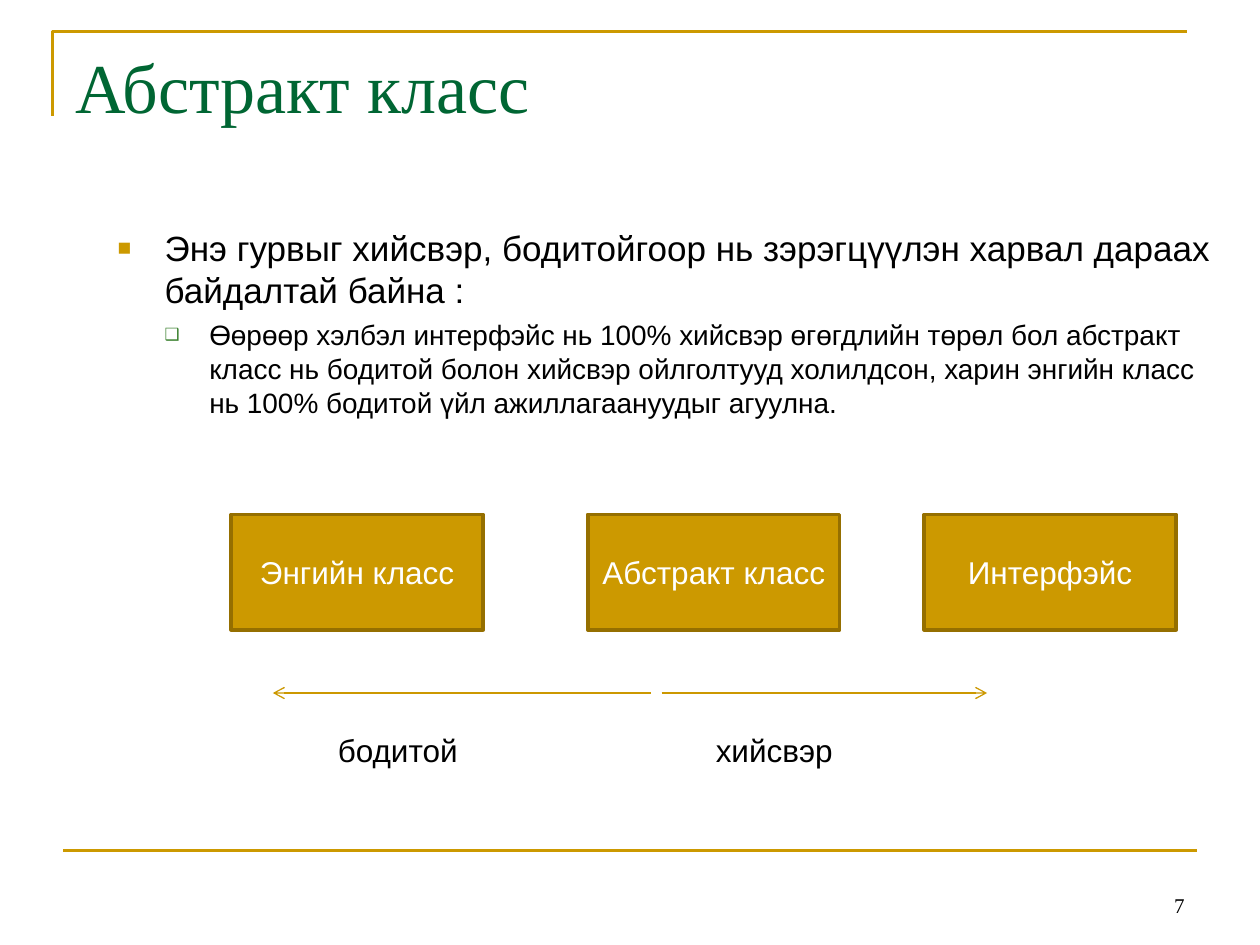
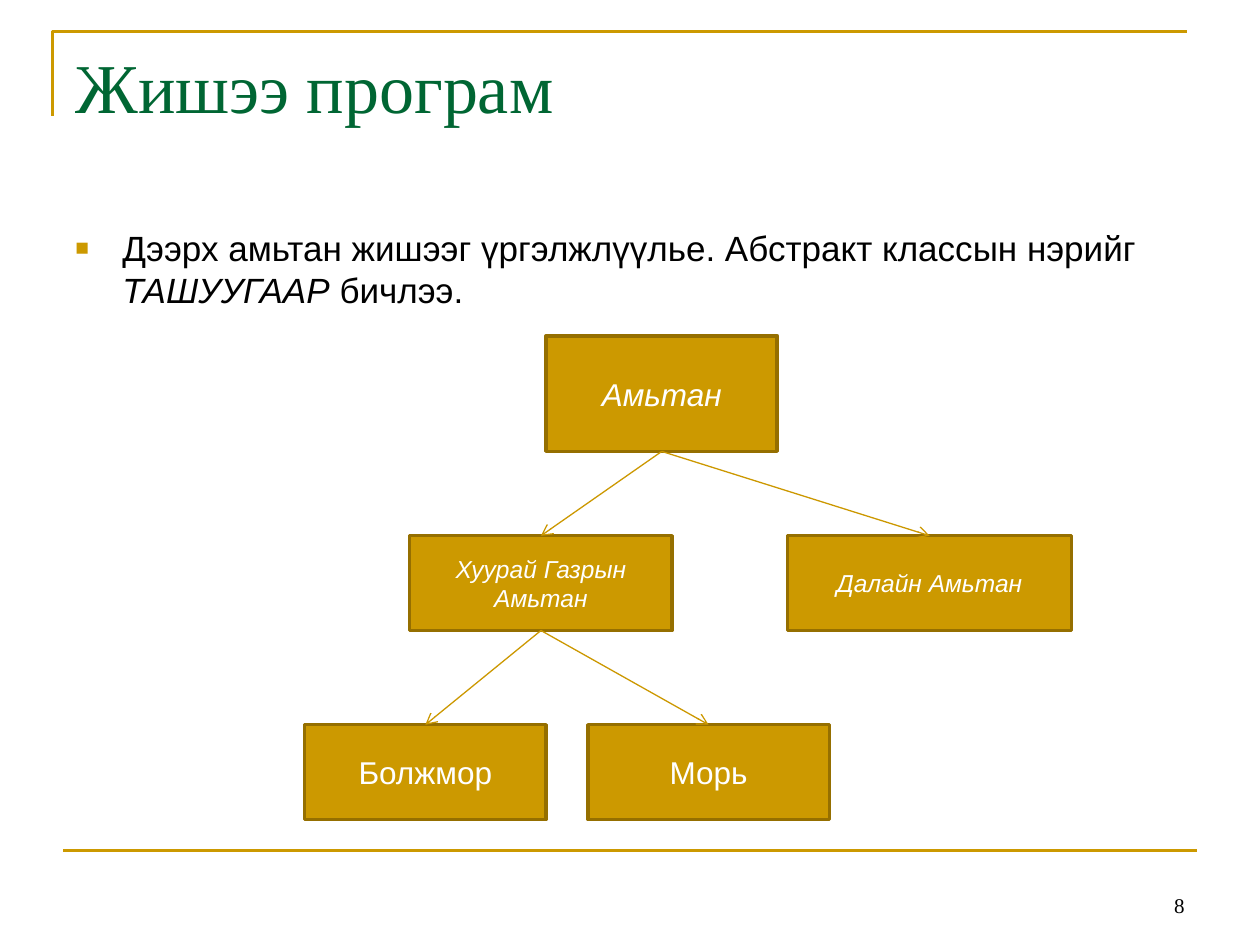
"""Builds two slides on abstract classes: a scale of abstraction and a class tree."""
from dataclasses import dataclass

from lxml import etree
from pptx import Presentation
from pptx.dml.color import RGBColor
from pptx.enum import shapes, text
from pptx.oxml import ns
from pptx.util import Cm, Pt


@dataclass(frozen=True)
class Theme:
    """Colours, fonts and type sizes of the deck."""
    gold: str = "CC9900"
    edge: str = "956F00"
    arrow: str = "CC9800"
    green: str = "006633"
    leaf: str = "3B812F"
    ink: str = "000000"
    white: str = "FFFFFF"
    serif: str = "Times New Roman"
    sans: str = "Arial"
    head: int = 40
    lead: int = 20
    sub: int = 16
    label: int = 18
    small: int = 14
    page: int = 12


T = Theme()
FIRST = 7
FRAME = [(1.06, 2.33), (1.06, 0.64), (23.92, 0.64)]
FOOT = [(1.27, 17.15), (24.13, 17.15)]

LEVELS = [
    dict(left=0.95, hang=0.95, gap=5, mark="■", tint=T.gold, part=65, size=T.lead),
    dict(left=1.85, hang=0.9, gap=4, mark="❑", tint=T.leaf, part=60, size=T.sub),
]

SCALE = dict(
    title="Абстракт класс",
    body=(2.12, 4.45, 22.86, 4.66),
    points=[
        (0, [("Энэ гурвыг хийсвэр, бодитойгоор нь зэрэгцүүлэн харвал дараах "
              "байдалтай байна :", False)]),
        (1, [("Өөрөөр хэлбэл интерфэйс нь 100% хийсвэр өгөгдлийн төрөл бол абстракт "
              "класс нь бодитой болон хийсвэр ойлголтууд холилдсон, харин энгийн класс "
              "нь 100% бодитой үйл ажиллагаануудыг агуулна.", False)]),
    ],
    boxes=[
        ("Энгийн класс", (4.66, 10.37, 5.08, 2.33), T.label, False),
        ("Абстракт класс", (11.85, 10.37, 5.08, 2.33), T.label, False),
        ("Интерфэйс", (18.63, 10.37, 5.08, 2.33), T.label, False),
    ],
    links=[],
    arrows=[((13.12, 13.97), (5.5, 13.97)), ((13.34, 13.97), (19.9, 13.97))],
    labels=[("бодитой", (6.56, 14.61, 4.87, 1.02)),
            ("хийсвэр", (14.18, 14.61, 5.29, 1.02))],
)

TREE = dict(
    title="Жишээ програм",
    body=(1.27, 4.45, 22.86, 3.18),
    points=[
        (0, [("Дээрх амьтан жишээг үргэлжлүүлье. Абстракт классын нэрийг ", False),
             ("ТАШУУГААР ", True), ("бичлээ.", False)]),
    ],
    boxes=[
        ("Амьтан", (11.01, 6.77, 4.66, 2.33), T.label, True),
        ("Хуурай Газрын Амьтан", (8.26, 10.8, 5.29, 1.91), T.small, True),
        ("Далайн Амьтан", (15.88, 10.8, 5.72, 1.91), T.small, True),
        ("Болжмор", (6.14, 14.61, 4.87, 1.91), T.label, False),
        ("Морь", (11.85, 14.61, 4.87, 1.91), T.label, False),
    ],
    links=[(0, 1), (0, 2), (1, 3), (1, 4)],
    arrows=[],
    labels=[],
)


def cms(nums):
    """Turn plain numbers into lengths."""
    return [Cm(n) for n in nums]


def rgb(tint):
    """Turn a hex string into a colour."""
    return RGBColor.from_string(tint)


def style(para, size, tint, face=T.sans, slant=None):
    """Format every run of a paragraph."""
    for run in para.runs:
        font = run.font
        font.size, font.name = Pt(size), face
        font.color.rgb = rgb(tint)
        if slant is not None:
            font.italic = slant


def add(node, tag, **attrs):
    """Append a DrawingML element."""
    return etree.SubElement(node, ns.qn(tag), attrs)


def stroke(line, tint, width):
    """Set the colour and width of a line."""
    line.color.rgb, line.width = rgb(tint), Pt(width)


def draw_line(slide, start, end, tint, width, head=False):
    """Draw a straight line, with an arrowhead at its end if asked."""
    link = slide.shapes.add_connector(
        shapes.MSO_CONNECTOR.STRAIGHT, *cms(start), *cms(end))
    stroke(link.line, tint, width)
    if head:
        add(link.line._get_or_add_ln(), "a:tailEnd", type="arrow")
    add(link._element.spPr, "a:effectLst")
    return link


def draw_text(slide, words, spot, size, face=T.sans):
    """Add a wrapped text box with one paragraph."""
    box = slide.shapes.add_textbox(*cms(spot))
    frame = box.text_frame
    frame.word_wrap = True
    frame.text = words
    style(frame.paragraphs[0], size, T.ink, face)
    return frame


def draw_frame(slide, title, page):
    """Add the corner rule, foot rule, title and page number."""
    first, *rest = [tuple(cms(spot)) for spot in FRAME]
    pen = slide.shapes.build_freeform(*first)
    pen.add_line_segments(rest, close=False)
    rule = pen.convert_to_shape()
    rule.shadow.inherit = False
    rule.fill.background()
    stroke(rule.line, T.gold, 1.5)
    draw_line(slide, *FOOT, T.gold, 1.5)

    head = slide.shapes.title
    head.left, head.top, head.width, head.height = cms((1.27, 0.76, 22.86, 3.18))
    frame = head.text_frame
    frame.text = title
    frame.auto_size = text.MSO_AUTO_SIZE.NONE
    frame.vertical_anchor = text.MSO_ANCHOR.TOP
    frame.paragraphs[0].alignment = text.PP_ALIGN.LEFT
    style(frame.paragraphs[0], T.head, T.green, T.serif)

    foot = draw_text(slide, str(page), (18.2, 17.36, 5.93, 1.27), T.page, T.serif)
    foot.vertical_anchor = text.MSO_ANCHOR.BOTTOM
    foot.paragraphs[0].alignment = text.PP_ALIGN.RIGHT


def draw_points(slide, spot, points):
    """Add the bulleted text."""
    frame = slide.shapes.add_textbox(*cms(spot)).text_frame
    frame.word_wrap = True
    for n, (depth, parts) in enumerate(points):
        para = frame.add_paragraph() if n else frame.paragraphs[0]
        level = LEVELS[depth]
        para.level = depth
        para.space_before = Pt(level["gap"])
        for words, slant in parts:
            run = para.add_run()
            run.text, run.font.italic = words, slant
        style(para, level["size"], T.ink)
        props = para._p.get_or_add_pPr()
        props.set("marL", str(Cm(level["left"])))
        props.set("indent", str(-Cm(level["hang"])))
        add(add(props, "a:buClr"), "a:srgbClr", val=level["tint"])
        add(props, "a:buSzPct", val=str(level["part"] * 1000))
        add(props, "a:buFont", typeface=T.sans)
        add(props, "a:buChar", char=level["mark"])


def draw_box(slide, words, spot, size, slant):
    """Add a gold class box."""
    box = slide.shapes.add_shape(shapes.MSO_SHAPE.RECTANGLE, *cms(spot))
    box.shadow.inherit = False
    box.fill.solid()
    box.fill.fore_color.rgb = rgb(T.gold)
    stroke(box.line, T.edge, 2)
    frame = box.text_frame
    frame.word_wrap = True
    frame.text = words
    frame.vertical_anchor = text.MSO_ANCHOR.MIDDLE
    frame.paragraphs[0].alignment = text.PP_ALIGN.CENTER
    style(frame.paragraphs[0], size, T.white, slant=slant)
    return box


def build(deck, data, page):
    """Build one slide from its content."""
    slide = deck.slides.add_slide(deck.slide_layouts[5])
    draw_frame(slide, data["title"], page)
    draw_points(slide, data["body"], data["points"])
    boxes = [draw_box(slide, *item) for item in data["boxes"]]
    for top, low in data["links"]:
        link = draw_line(slide, (0, 0), (1, 1), T.arrow, 0.75, head=True)
        link.begin_connect(boxes[top], 2)
        link.end_connect(boxes[low], 0)
    for start, end in data["arrows"]:
        draw_line(slide, start, end, T.arrow, 0.75, head=True)
    for words, spot in data["labels"]:
        frame = draw_text(slide, words, spot, T.label)
        frame.auto_size = text.MSO_AUTO_SIZE.SHAPE_TO_FIT_TEXT


def main():
    """Build and save the deck."""
    deck = Presentation()
    deck.slide_width, deck.slide_height = Cm(25.4), Cm(19.05)
    for page, data in enumerate((SCALE, TREE), FIRST):
        build(deck, data, page)
    deck.save("out.pptx")


if __name__ == "__main__":
    main()
